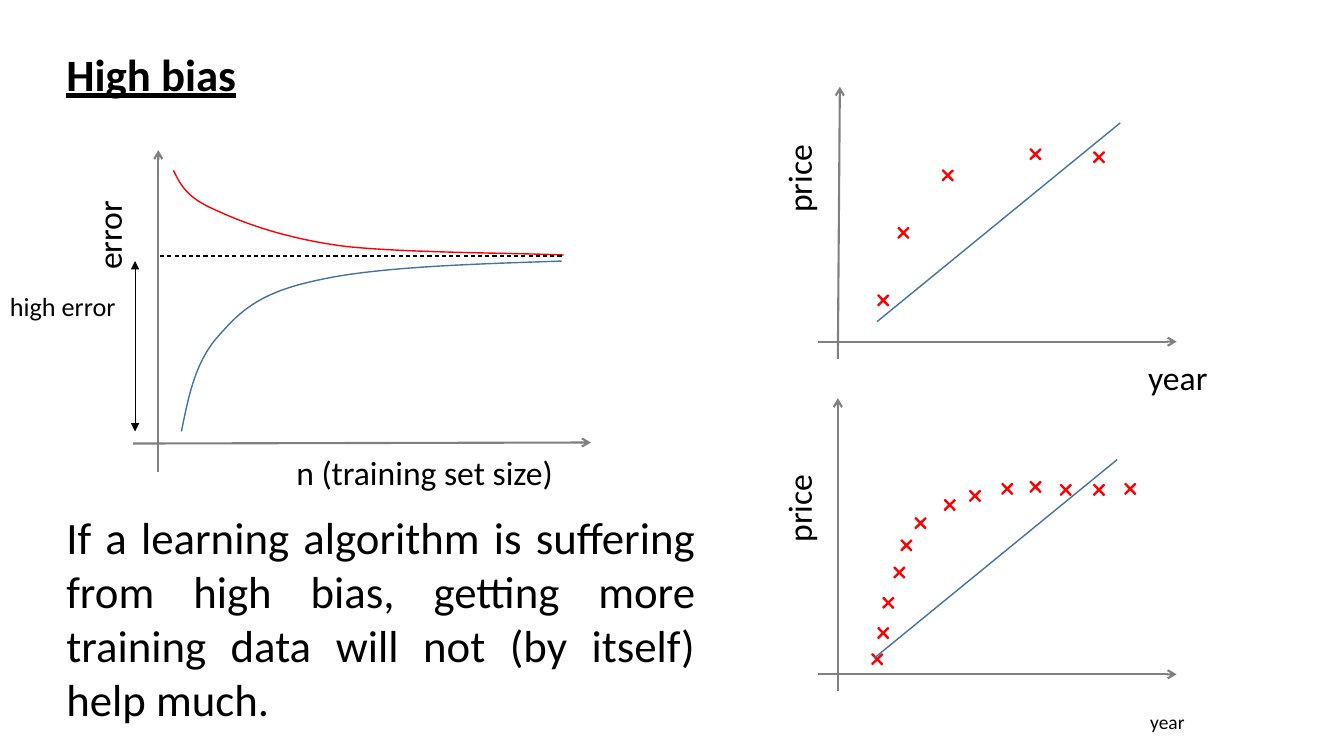
from collections import namedtuple
from lxml.etree import SubElement
from pptx import Presentation
from pptx.dml.color import RGBColor
from pptx.enum.dml import MSO_LINE
from pptx.enum.shapes import MSO_CONNECTOR, MSO_SHAPE
from pptx.enum.text import MSO_AUTO_SIZE, PP_ALIGN
from pptx.oxml.ns import qn
from pptx.util import Pt

PX = 9144
FONT = "Calibri"
BLACK, GREY, RED, BLUE = "000000", "808080", "FF0000", "43739E"
MARK_SIZE = 14

Box = namedtuple("Box", "left top width height")


def color(value):
    return RGBColor.from_string(value)


def add_text(page, box, text, size, rotation=0, wrap=True, align=PP_ALIGN.LEFT,
             bold=False, underline=False, baseline=0):
    shape = page.shapes.add_textbox(*(value * PX for value in box))
    shape.rotation = rotation
    frame = shape.text_frame
    frame.word_wrap = wrap
    frame.auto_size = MSO_AUTO_SIZE.SHAPE_TO_FIT_TEXT
    para = frame.paragraphs[0]
    para.alignment = align
    span = para.add_run()
    span.text = text
    font = span.font
    font.name, font.size = FONT, Pt(size)
    font.bold, font.underline = bold, underline
    font.color.rgb = color(BLACK)
    if baseline:
        span._r.get_or_add_rPr().set("baseline", str(baseline * 1000))


def add_line(page, start, end, tone, width, head=None, tail=None, dash=None):
    points = [value * PX for value in (*start, *end)]
    line = page.shapes.add_connector(MSO_CONNECTOR.STRAIGHT, *points)
    line.line.color.rgb = color(tone)
    line.line.width = Pt(width)
    if dash:
        line.line.dash_style = dash
    outline = line.line._get_or_add_ln()
    for tag, kind in (("a:headEnd", head), ("a:tailEnd", tail)):
        if kind:
            SubElement(outline, qn(tag), type=kind)
    SubElement(line._element.spPr, qn("a:effectLst"))


def add_axis(page, start, end):
    add_line(page, start, end, GREY, 1.5, tail="arrow")


def add_curve(page, box, controls, tone):
    points = [((box.left + x) * PX, (box.top + y) * PX) for x, y in controls]
    builder = page.shapes.build_freeform(*points[0])
    builder.add_line_segments(points[1:], close=False)
    curve = builder.convert_to_shape()
    outline = next(curve._element.iter(qn("a:path")))
    segments = outline.findall(qn("a:lnTo"))
    for first in range(0, len(segments), 3):
        bezier = SubElement(outline, qn("a:cubicBezTo"))
        for segment in segments[first:first + 3]:
            bezier.append(segment[0])
            outline.remove(segment)
    curve.shadow.inherit = False
    curve.fill.background()
    curve.line.color.rgb = color(tone)
    curve.line.width = Pt(1)


def add_mark(page, left, top):
    mark = page.shapes.add_shape(MSO_SHAPE.CROSS, left * PX, top * PX,
                                 MARK_SIZE * PX, MARK_SIZE * PX)
    mark.adjustments[0] = 0.466
    mark.rotation = 45.6
    mark.shadow.inherit = False
    mark.fill.solid()
    mark.fill.fore_color.rgb = color(BLACK)
    mark.line.color.rgb = color(RED)
    mark.line.width = Pt(1)


def add_price_plot(page, box, marks, trend_start, lean, price_top, year_box, year_baseline):
    base = box.top + box.height
    axis_left = box.left + 20
    add_axis(page, (axis_left, base + 17), (axis_left + lean, box.top))
    add_axis(page, (box.left, base), (box.left + box.width, base))
    for offset, rise in marks:
        add_mark(page, box.left + offset, base - rise)
    offset, rise = trend_start
    left, bottom = box.left + offset, base - rise
    add_line(page, (left, bottom), (left + 241, bottom - 197), BLUE, 1)
    add_text(page, Box(box.left - 63, box.top + price_top, 88, 50), "price", 24,
             rotation=270, wrap=False)
    left, drop, width, height = year_box
    add_text(page, Box(box.left + left, base + drop, width, height), "year", 24,
             baseline=year_baseline)


def add_learning_curves(page, box):
    left, top = box.left, box.top
    base = top + box.height
    right = left + box.width
    axis_left = left + 25
    add_axis(page, (axis_left, base + 28), (axis_left, top))
    add_axis(page, (left, base), (right, base - 1))
    add_text(page, Box(left + 152, base + 3, 472, 50), "n (training set size)", 24)
    add_text(page, Box(left - 94, top + 34, 139, 50), "error", 24, rotation=270)
    add_curve(page, box, [(40, 20), (47, 34), (53, 47), (81, 59), (109, 72),
                          (149, 87), (207, 95), (265, 102), (387, 102), (427, 104)], RED)
    add_curve(page, box, [(48, 279), (55, 244), (62, 209), (85, 184), (107, 159),
                          (126, 141), (183, 129), (240, 116), (333, 113), (425, 110)], BLUE)
    add_line(page, (right - 29, top + 105), (axis_left, top + 105), BLACK, 0.75,
             dash=MSO_LINE.DASH)
    add_text(page, Box(left - 132, top + 134, 125, 42), "high error", 18.7, wrap=False)
    add_line(page, (left + 2, top + 110), (left + 2, top + 279), BLACK, 0.5,
             head="triangle", tail="triangle")


def main():
    deck = Presentation()
    deck.slide_width, deck.slide_height = 1333 * PX, 750 * PX
    page = deck.slides.add_slide(deck.slide_layouts[6])

    add_text(page, Box(56, 41, 622, 64), "High bias", 32, bold=True, underline=True)
    add_learning_curves(page, Box(132, 149, 454, 291))
    add_text(page, Box(56, 501, 644, 226),
             "If a learning algorithm is suffering from high bias, getting more "
             "training data will not (by itself) help much.", 32, align=PP_ALIGN.JUSTIFY)

    few_marks = [(58, 48), (78, 115), (122, 172), (209, 193), (272, 190)]
    many_marks = [(52, 22), (58, 48), (63, 78), (74, 108), (81, 135), (95, 157),
                  (124, 175), (149, 184), (181, 191), (209, 193), (239, 190),
                  (272, 190), (303, 191)]
    add_price_plot(page, Box(811, 86, 356, 253), few_marks, (59, 20), 2, 66,
                   (318, 10, 90, 50), 0)
    add_price_plot(page, Box(811, 395, 356, 274), many_marks, (56, 16), 0, 84,
                   (320, 8, 90, 37), -25)
    deck.save("out.pptx")


if __name__ == "__main__":
    main()
